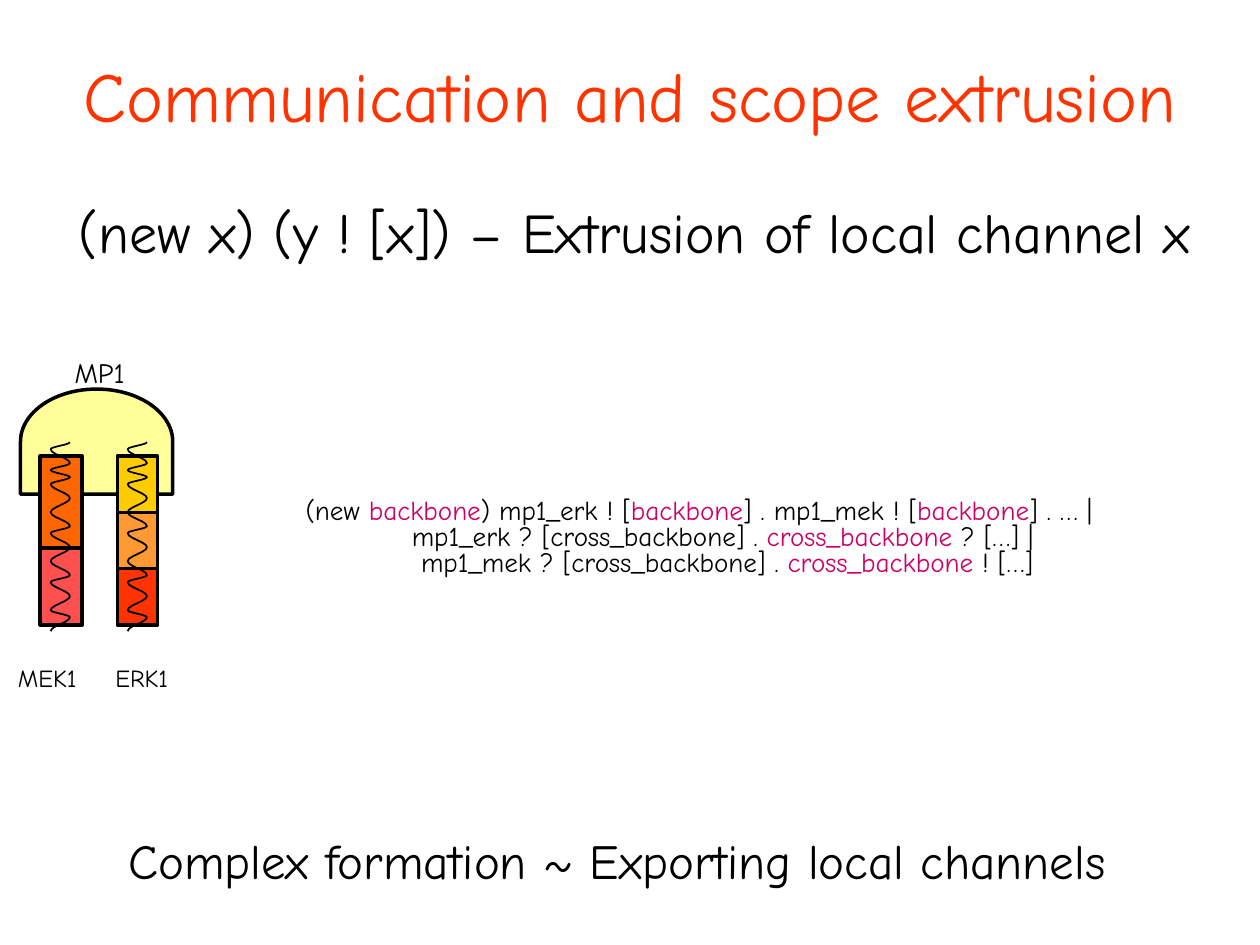
from dataclasses import dataclass
from itertools import accumulate
from math import cos, pi

from pptx import Presentation
from pptx import util as u
from pptx.dml.color import RGBColor
from pptx.enum import shapes, text

Pt = u.Pt
Kind = shapes.MSO_SHAPE


@dataclass(frozen=True)
class Theme:
    font: str = "Comic Neue"
    ink: str = "000000"
    paper: str = "FFFFFF"
    head: str = "FF3300"
    key: str = "CC0066"
    cap: str = "FFFF99"
    mek: tuple = ("FF6600", "FF5050")
    erk: tuple = ("FFCC00", "FF9933", "FF3300")
    title: float = 40
    lead: float = 32
    close: float = 28
    name: float = 16
    code: float = 15.5
    tag: float = 14
    edge: float = 2
    thin: float = 1


T = Theme()
TURNS = (1, 2, 1, 1, 1, 2, 2, 2, 1, 2, 2, 2, 1, 2, 2, 1, 2)
CODE = (
    (("(new", T.ink), (" backbone", T.key), (") mp1_erk ! [", T.ink),
     ("backbone", T.key), ("] . mp1_mek ! [", T.ink), ("backbone", T.key),
     ("] . … | ", T.ink)),
    (("mp1_erk ? [cross_backbone] . ", T.ink), ("cross_backbone", T.key),
     (" ? […] | ", T.ink)),
    (("mp1_mek ? [cross_backbone] . ", T.ink), ("cross_backbone", T.key),
     (" ! […]", T.ink)),
)


def rgb(code):
    return RGBColor.from_string(code)


def write(shape, words, size, color=T.ink, wrap=False, middle=True,
          before=0, space=None, hang=0):
    frame = shape.text_frame
    frame.word_wrap = wrap
    frame.auto_size = text.MSO_AUTO_SIZE.NONE
    anchor = text.MSO_ANCHOR
    frame.vertical_anchor = anchor.MIDDLE if middle else anchor.TOP
    para = frame.paragraphs[0]
    para.alignment = text.PP_ALIGN.CENTER
    para.space_before = Pt(before)
    para.line_spacing = space
    if hang:
        props = para._p.get_or_add_pPr()
        props.set("marL", str(Pt(hang)))
        props.set("indent", str(-Pt(hang)))
    lines = [[(words, color)]] if isinstance(words, str) else words
    for i, line in enumerate(lines):
        if i:
            para.add_line_break()
        for part, tint in line:
            run = para.add_run()
            run.text = part
            run.font.name = T.font
            run.font.size = Pt(size)
            run.font.color.rgb = rgb(tint)


def place(shape, x, y, w, h):
    shape.left, shape.top = Pt(x), Pt(y)
    shape.width, shape.height = Pt(w), Pt(h)


def box(slide, x, y, w, h):
    return slide.shapes.add_textbox(Pt(x), Pt(y), Pt(w), Pt(h))


def block(slide, x, y, w, h, fill, kind=Kind.RECTANGLE, edge=T.edge):
    shape = slide.shapes.add_shape(kind, Pt(x), Pt(y), Pt(w), Pt(h))
    shape.shadow.inherit = False
    shape.fill.solid()
    shape.fill.fore_color.rgb = rgb(fill)
    if edge:
        shape.line.color.rgb = rgb(T.ink)
        shape.line.width = Pt(edge)
    else:
        shape.line.fill.background()
    return shape


def label(slide, words, x, y, w, h, size, before):
    shape = block(slide, x, y, w, h, T.paper, edge=0)
    write(shape, words, size, before=before)


def stack(slide, x, y, w, parts):
    for high, fill in parts:
        block(slide, x, y, w, high, fill)
        y += high


def coil(slide, x, y, w, unit=4, steps=6):
    ends = list(accumulate(TURNS, initial=0))
    dots = []
    for i, turn in enumerate(TURNS):
        for step in range(1, steps + 1):
            part = step / steps
            side = (1 + cos(pi * (i + part))) / 2
            dots.append((Pt(x + w * side), Pt(y + unit * (ends[i] + turn * part))))
    path = slide.shapes.build_freeform(Pt(x + w), Pt(y))
    path.add_line_segments(dots, close=False)
    shape = path.convert_to_shape()
    shape.shadow.inherit = False
    shape.fill.background()
    shape.line.color.rgb = rgb(T.ink)
    shape.line.width = Pt(T.thin)


def complex_art(slide):
    label(slide, "MP1", 36, 198, 42, 30, T.name, 10)
    cap = block(slide, 25.2, 208.8, 60, 87, T.cap, Kind.FLOWCHART_DELAY)
    cap.rotation = 270
    stack(slide, 23, 260.6, 24, zip((52.6, 44), T.mek))
    coil(slide, 29, 252.7, 11)
    stack(slide, 67, 260.6, 23, [(32.2, fill) for fill in T.erk])
    coil(slide, 73, 252.7, 11)
    for i, name in enumerate(("MEK1", "ERK1")):
        label(slide, name, 54 * i, 366, 54, 42, T.tag, 8.8)


def main():
    deck = Presentation()
    deck.slide_width, deck.slide_height = Pt(720), Pt(540)
    slide = deck.slides.add_slide(deck.slide_layouts[5])
    title = slide.shapes.title
    place(title, 0, 6, 720, 96)
    write(title, "Communication and scope extrusion", T.title, T.head, wrap=True)
    write(box(slide, 72, 96, 582, 72),
          "(new x) (y ! [x]) – Extrusion of local channel x", T.lead, before=20)
    write(box(slide, 84, 282, 636, 66), CODE, T.code, wrap=True, middle=False,
          before=12.5, space=0.8, hang=27)
    write(box(slide, 66, 471, 573, 41),
          "Complex formation ~ Exporting local channels", T.close,
          middle=False, before=17.5)
    complex_art(slide)
    deck.save("out.pptx")


main()
